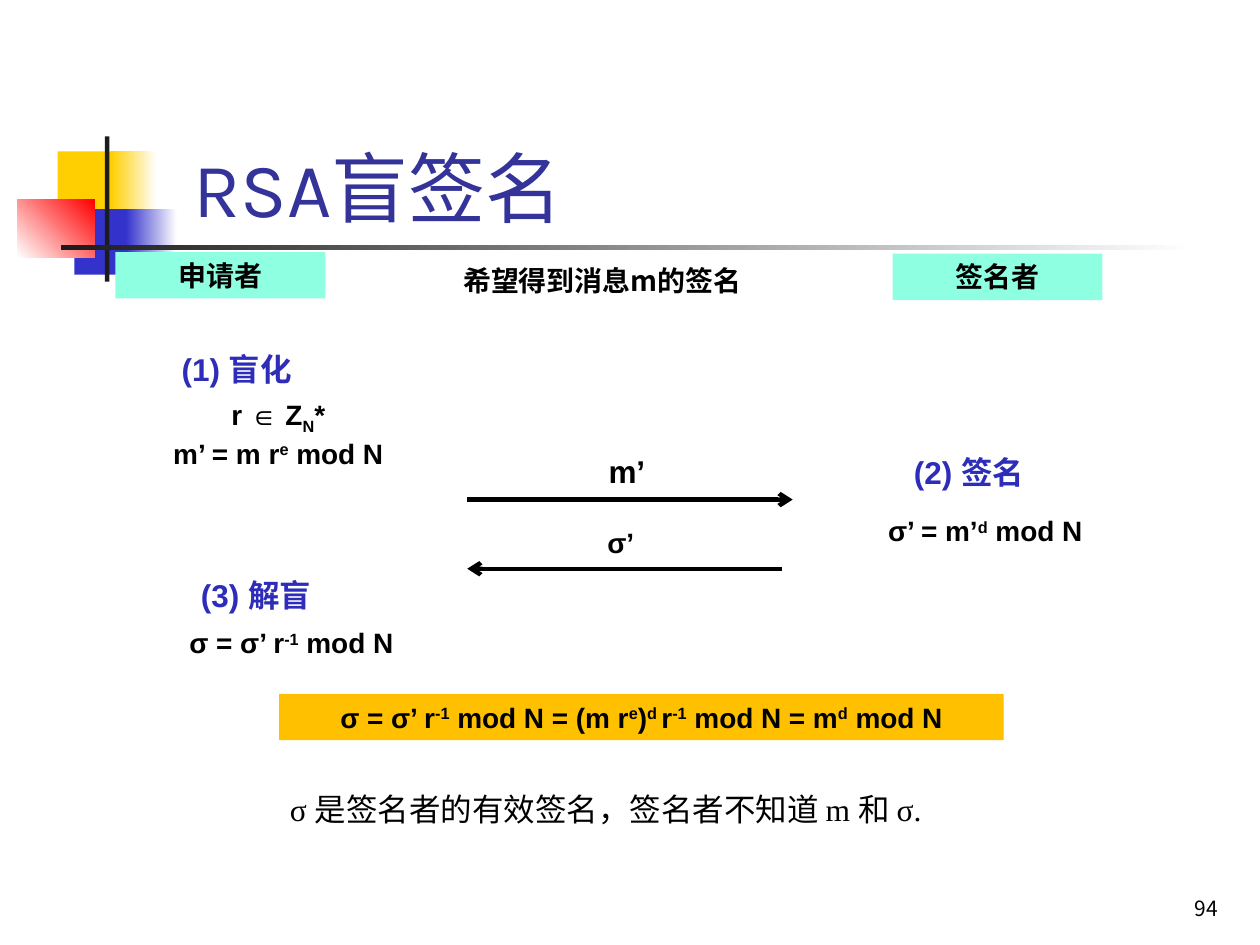
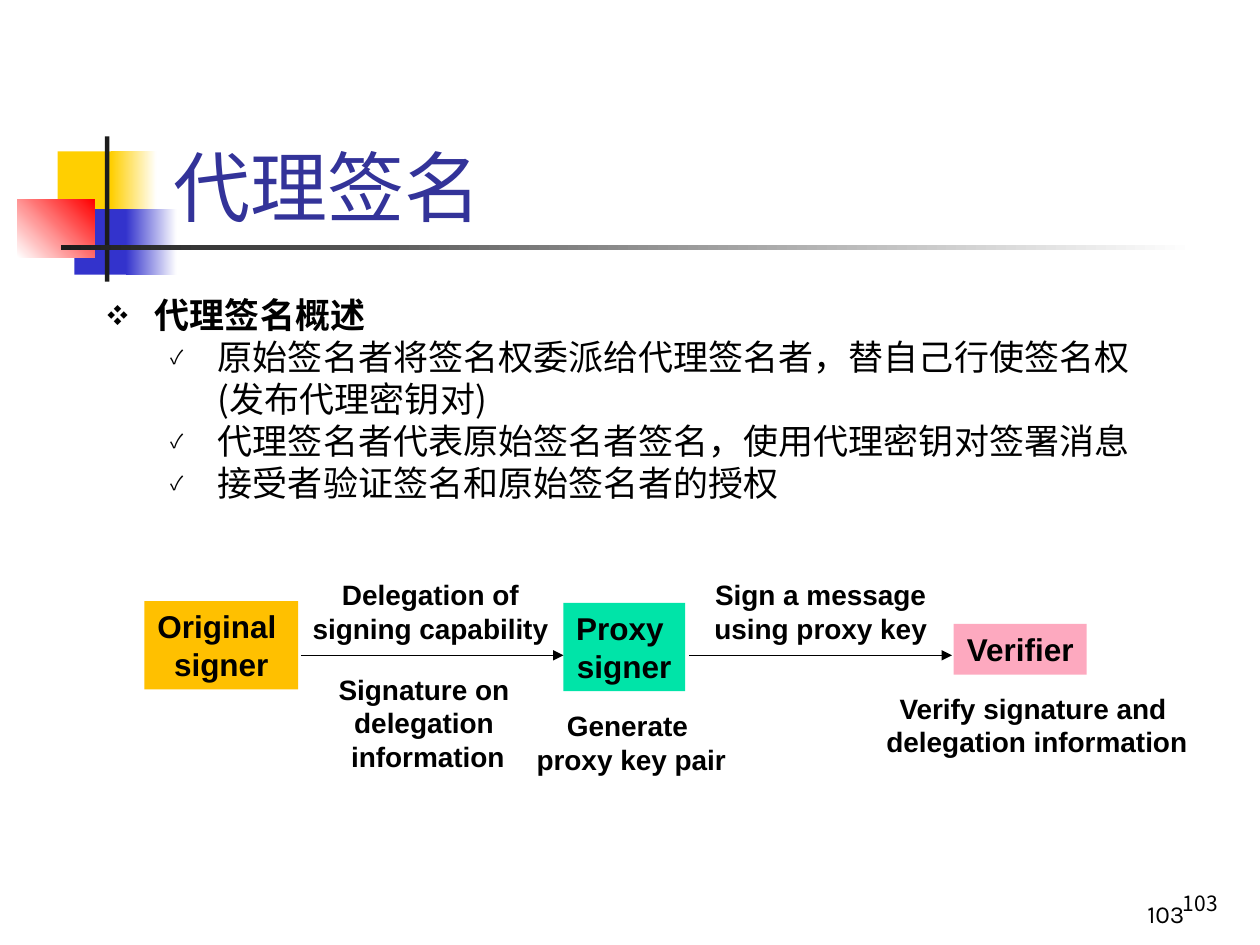
from dataclasses import dataclass

from lxml import etree
from pptx import Presentation
from pptx.dml.color import RGBColor
from pptx.enum.shapes import MSO_CONNECTOR, MSO_SHAPE
from pptx.enum.text import MSO_ANCHOR, MSO_AUTO_SIZE, PP_ALIGN
from pptx.oxml.ns import qn
from pptx.util import Pt

LEFT, CENTER, RIGHT = PP_ALIGN.LEFT, PP_ALIGN.CENTER, PP_ALIGN.RIGHT
TOP, BOTTOM = MSO_ANCHOR.TOP, MSO_ANCHOR.BOTTOM
RECT = MSO_SHAPE.RECTANGLE
STRAIGHT = MSO_CONNECTOR.STRAIGHT
FIT, FIXED = MSO_AUTO_SIZE.SHAPE_TO_FIT_TEXT, MSO_AUTO_SIZE.NONE


@dataclass(frozen=True)
class Theme:
    black: str = "000000"
    white: str = "FFFFFF"
    title: str = "333399"
    step: str = "2D2DB9"
    ink: str = "1C1C1C"
    yellow: str = "FFCF01"
    blue: str = "3333CC"
    red: str = "FF0000"
    mint: str = "8EFFE1"
    amber: str = "FFC000"
    green: str = "00E4A8"
    pink: str = "FDA9BF"
    latin: str = "Arial"
    cjk: str = "Noto Sans CJK SC"
    number: str = "Noto Sans CJK KR"
    display: str = "Karla"
    serif: str = "Times New Roman"
    title_size: int = 44
    body_size: int = 20
    large: int = 18
    medium: int = 16
    small: int = 14
    tiny: int = 12
    leading: float = 1.2


T = Theme()

# Position, then one colour or the two ends of a gradient, then its angle
DECORATION = [
    ((33, 86.5, 34.5, 37.5), (T.yellow,), 0),
    ((63.5, 86.5, 26, 37.5), (T.yellow, T.white), 0),
    ((42.5, 119.5, 33, 37.5), (T.blue,), 0),
    ((72, 119.5, 29, 37.5), (T.blue, T.white), 0),
    ((10, 114, 44, 33), (T.white, T.red), 45),
    ((60, 78, 2.5, 83), (T.ink,), 0),
    ((35, 140, 648, 3), (T.ink, T.white), 0),
]
NUMBER_BOX = (553, 505.5, 150, 24)
EXTRA_NUMBER_BOX = (534, 498, 150, 36)

# Formulas: "|" parts the runs, "^" raises a run and "_" lowers it
ROLES = [
    ((66, 144, 120, 26.5), "申请者"),
    ((510, 145, 120, 26.5), "签名者"),
]
REQUEST = ((196, 147, 300, 26.5), "希望得到消息m的签名 ")
STEPS = [
    ((94.5, 196.5, 81.5, 29), "(1) 盲化"),
    ((513, 255.5, 81.5, 29), "(2) 签名"),
    ((105.5, 325.5, 81.5, 29), "(3) 解盲"),
]
FORMULAS = [
    ((70.5, 226.5, 177, 48), ["r ∈ Z|_N|*", "m’ = m r|^e| mod N"]),
    ((457, 290, 212, 26.5), ["σ’ = m’|^d| mod N"]),
    ((83, 354, 167, 26.5), ["σ = σ’ r|^-1| mod N"]),
    ((315.5, 296.5, 78.5, 26.5), ["σ’"]),
]
BLINDED = ((340.5, 255, 35.5, 29), "m’")
PROOF = ((159.5, 396.5, 414, 26.5),
         "σ = σ’ r|^-1| mod N = (m r|^e|)|^d |r|^-1| mod N = m|^d| mod N")
CONCLUSION = ((158.5, 448, 458, 29), "σ 是签名者的有效签名，签名者不知道 m 和 σ.")
MESSAGES = [((267, 285.5), (453, 285.5)), ((447, 325), (267, 325))]

OVERVIEW_BOX = (61.5, 167.5, 592.5, 142)
OVERVIEW = [
    (0, "代理签名概述"),
    (1, "原始签名者将签名权委派给代理签名者，替自己行使签名权(发布代理密钥对)"),
    (1, "代理签名者代表原始签名者签名，使用代理密钥对签署消息"),
    (1, "接受者验证签名和原始签名者的授权"),
]
# Per level: mark, size in percent, left margin
BULLETS = [("❖", 60, 27), ("✓", 55, 63)]
HANGING = 27

PARTIES = [
    ((82.5, 343.5, 88, 50.5), T.amber, ["Original ", "signer"]),
    ((322, 344.5, 69.5, 50.5), T.green, ["Proxy ", "signer"]),
    ((545, 356.5, 76, 29), T.pink, ["Verifier"]),
]
ACTIONS = [
    ((171.5, 326.5, 149, 46), ["Delegation of", "signing capability"]),
    ((185.5, 380.5, 118, 65), ["Signature on ", "delegation ", "information"]),
    ((299.5, 401.5, 122.5, 46), ["Generate ", "proxy key pair"]),
    ((401, 326.5, 136, 46), ["Sign a message", "using proxy key"]),
    ((499, 391.5, 187, 46), ["Verify signature and ", "delegation information"]),
]
HANDOVERS = [((172, 374.5), (322, 374.5)), ((394, 374.5), (544, 374.5))]


def rgb(color):
    return RGBColor.from_string(color)


def add_rect(s, box, colors, angle=0):
    sp = s.shapes.add_shape(RECT, *map(Pt, box))
    sp.shadow.inherit = False
    sp.line.fill.background()
    if len(colors) == 1:
        sp.fill.solid()
        sp.fill.fore_color.rgb = rgb(colors[0])
    else:
        sp.fill.gradient()
        sp.fill.gradient_angle = angle
        for stop, color in zip(sp.fill.gradient_stops, colors):
            stop.color.rgb = rgb(color)
    return sp


def add_run(p, text, size, font, color, bold):
    baseline = {"^": "30000", "_": "-25000"}.get(text[0])
    r = p.add_run()
    r.text = text[1:] if baseline else text
    r.font.size, r.font.name, r.font.bold = Pt(size), font, bold
    r.font.color.rgb = rgb(color)
    rpr = r.font._element
    if baseline:
        rpr.set("baseline", baseline)
    if font in (T.cjk, T.number):
        rpr.find(qn("a:latin")).addnext(etree.Element(qn("a:ea"), typeface=font))


def add_bullet(p, level):
    mark, percent, margin = BULLETS[level]
    p.level = level
    ppr = p._p.get_or_add_pPr()
    ppr.set("marL", str(Pt(margin)))
    ppr.set("indent", str(-Pt(HANGING)))
    color = etree.SubElement(ppr, qn("a:buClr"))
    etree.SubElement(color, qn("a:srgbClr"), val=T.black)
    etree.SubElement(ppr, qn("a:buSzPct"), val=str(percent * 1000))
    etree.SubElement(ppr, qn("a:buFont"), typeface=T.cjk)
    etree.SubElement(ppr, qn("a:buChar"), char=mark)


def add_text(s, box, lines, size=T.medium, font=T.latin, color=T.black, bold=True,
             fill=None, align=CENTER, anchor=TOP, wrap=True, fit=FIT):
    sp = add_rect(s, box, (fill,)) if fill else s.shapes.add_textbox(*map(Pt, box))
    tf = sp.text_frame
    tf.word_wrap, tf.auto_size, tf.vertical_anchor = wrap, fit, anchor
    for i, line in enumerate(lines):
        p = tf.paragraphs[0] if i == 0 else tf.add_paragraph()
        p.alignment = align
        p.line_spacing = Pt(size * T.leading)
        for part in line.split("|"):
            add_run(p, part, size, font, color, bold)


def add_overview(s):
    tf = s.shapes.add_textbox(*map(Pt, OVERVIEW_BOX)).text_frame
    tf.word_wrap = True
    tf.margin_left = tf.margin_right = tf.margin_top = tf.margin_bottom = 0
    for i, (level, text) in enumerate(OVERVIEW):
        p = tf.paragraphs[0] if i == 0 else tf.add_paragraph()
        p.line_spacing = Pt(T.body_size * T.leading)
        add_bullet(p, level)
        add_run(p, text, T.body_size, T.cjk, T.black, level == 0)


def add_arrow(s, start, end, width, head):
    c = s.shapes.add_connector(STRAIGHT, *map(Pt, start + end))
    c.line.width = Pt(width)
    c.line.color.rgb = rgb(T.black)
    etree.SubElement(c.line._get_or_add_ln(), qn("a:tailEnd"), type=head)
    etree.SubElement(c._element.spPr, qn("a:effectLst"))


def add_base(prs, title, title_box, number, number_anchor):
    """Add a slide with its decoration, page number and title."""
    s = prs.slides.add_slide(prs.slide_layouts[6])
    for box, colors, angle in DECORATION:
        add_rect(s, box, colors, angle)
    add_text(s, NUMBER_BOX, [number], T.tiny, T.number, bold=False,
             align=RIGHT, anchor=number_anchor, fit=FIXED)
    add_text(s, title_box, [title], T.title_size, T.display, T.title, False,
             align=LEFT, wrap=False)
    return s


def build_blind_signature(prs):
    s = add_base(prs, "RSA盲签名", (103.5, 77, 238, 60.5), "94", BOTTOM)
    for box, role in ROLES:
        add_text(s, box, [role], font=T.cjk, fill=T.mint)
    box, text = REQUEST
    add_text(s, box, [text], font=T.cjk)
    for box, lines in FORMULAS:
        add_text(s, box, lines)
    for box, step in STEPS:
        add_text(s, box, [step], T.large, color=T.step, wrap=False)
    box, text = BLINDED
    add_text(s, box, [text], T.large, wrap=False)
    box, text = PROOF
    add_text(s, box, [text], fill=T.amber)
    box, text = CONCLUSION
    add_text(s, box, [text], T.large, T.serif, bold=False, align=LEFT)
    for start, end in MESSAGES:
        add_arrow(s, start, end, 2.5, "arrow")


def build_proxy_signature(prs):
    s = add_base(prs, "代理签名", (92, 76, 200, 60.5), "103", TOP)
    add_text(s, EXTRA_NUMBER_BOX, ["103"], T.small, T.display, bold=False,
             align=RIGHT, anchor=BOTTOM, fit=FIXED)
    add_overview(s)
    for box, fill, lines in PARTIES:
        add_text(s, box, lines, T.large, fill=fill, wrap=False)
    for box, lines in ACTIONS:
        add_text(s, box, lines, wrap=False)
    for start, end in HANDOVERS:
        add_arrow(s, start, end, 0.75, "triangle")


def main():
    prs = Presentation()
    prs.slide_width, prs.slide_height = Pt(720), Pt(540)
    build_blind_signature(prs)
    build_proxy_signature(prs)
    prs.save("out.pptx")


if __name__ == "__main__":
    main()
